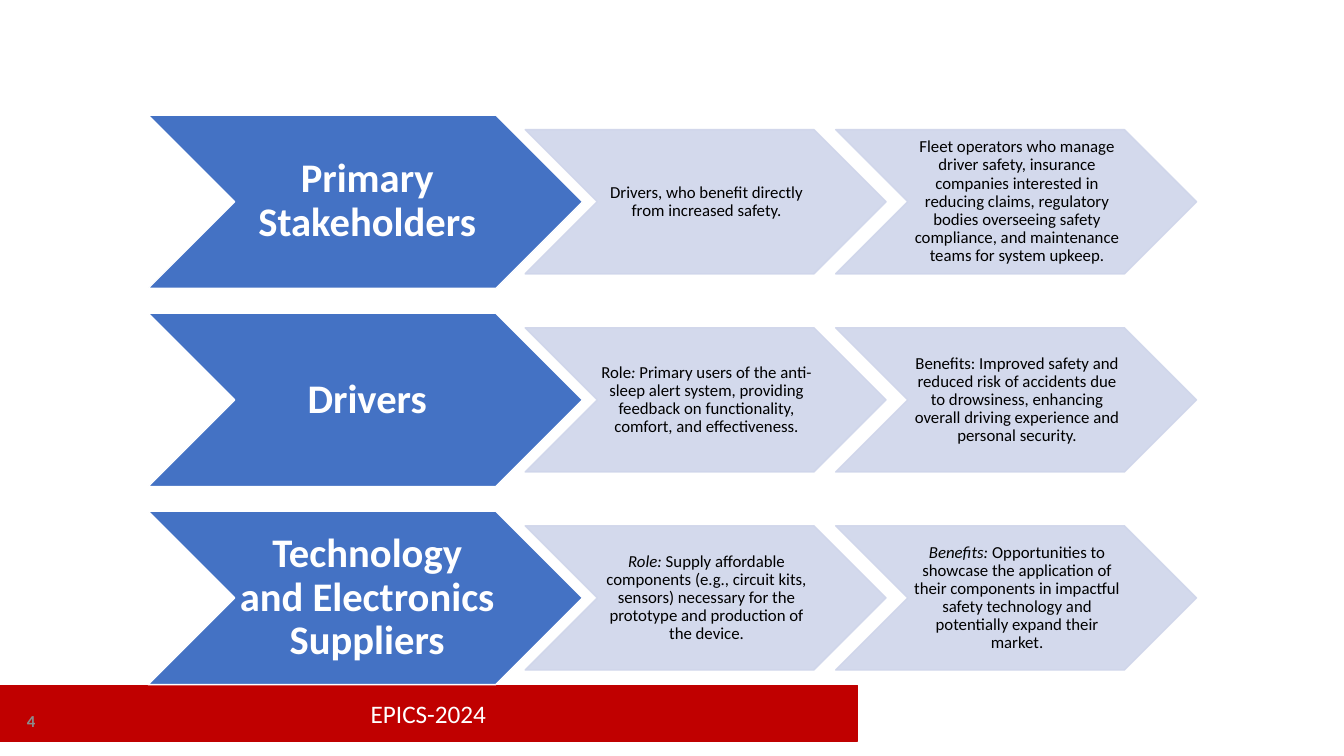
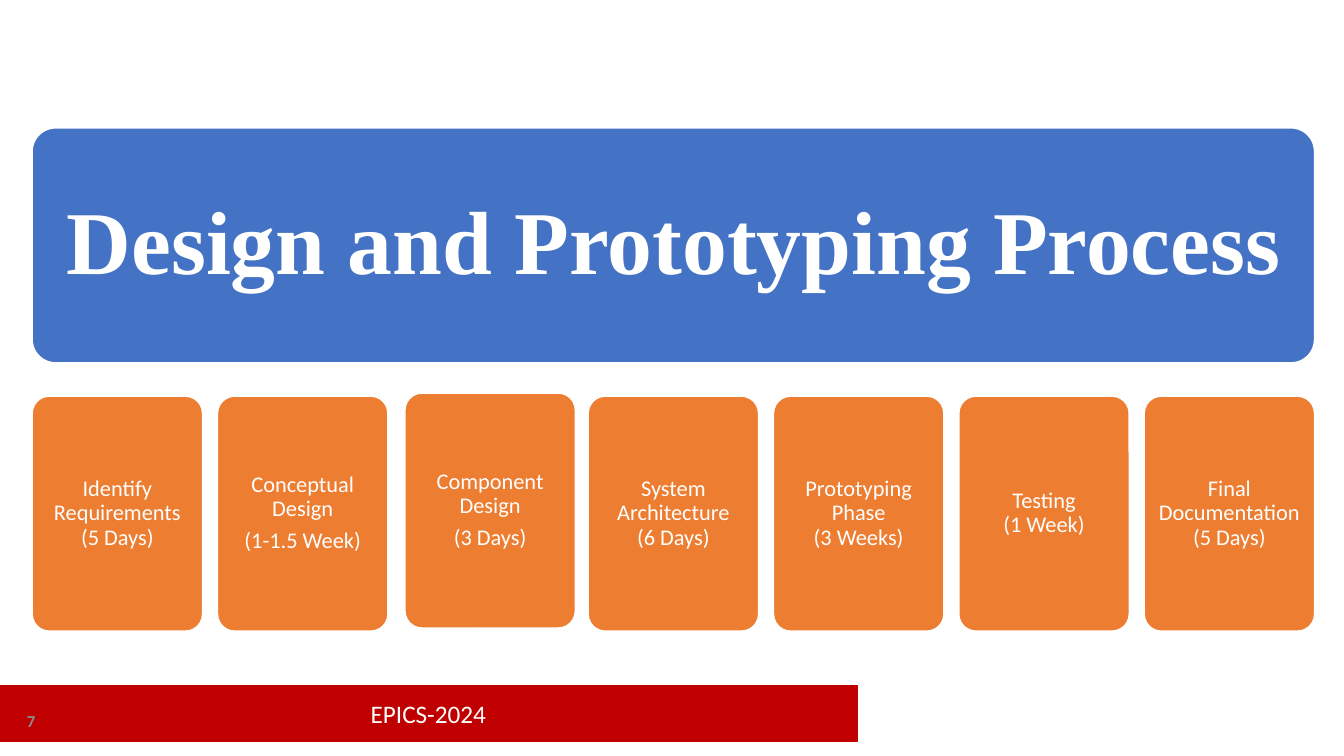
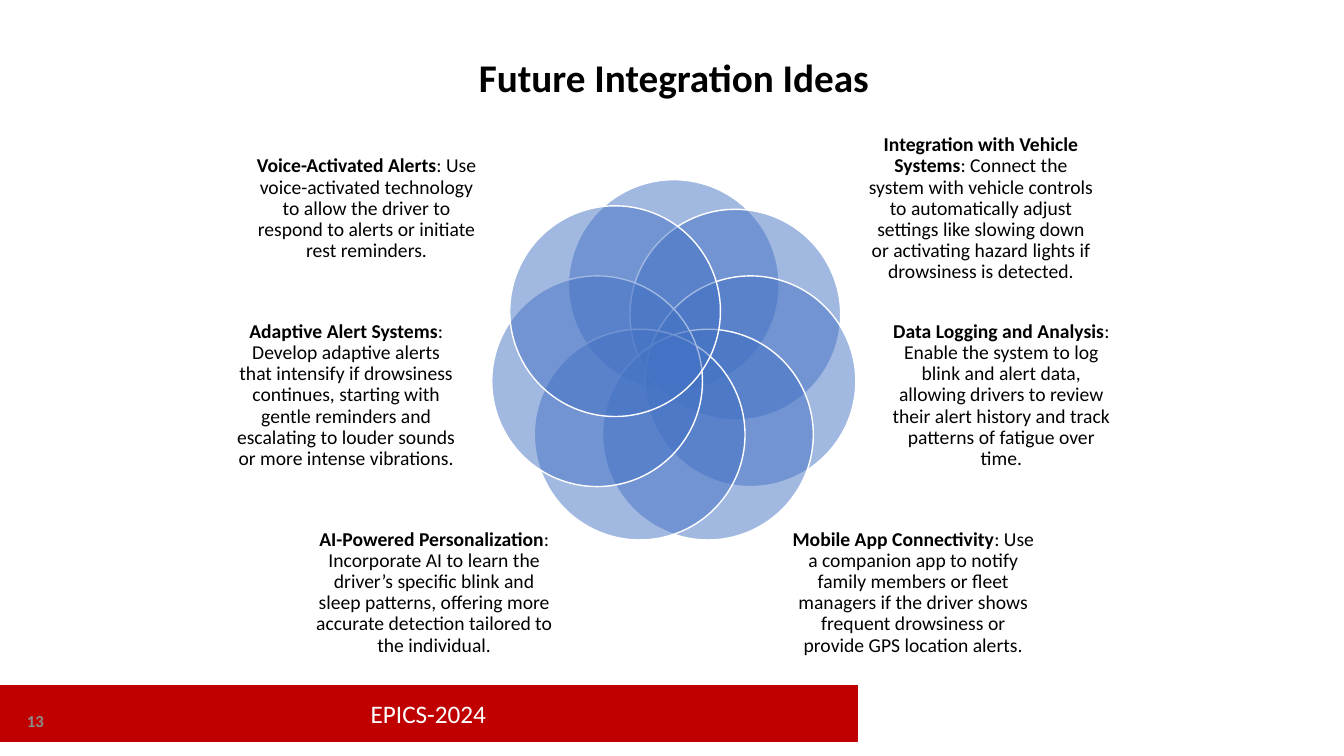
"""Build three slides on stakeholders, the design process and future integration ideas."""
from math import cos, pi, sin

from lxml.etree import SubElement
from pptx import Presentation
from pptx.dml.color import RGBColor
from pptx.enum.shapes import MSO_SHAPE
from pptx.enum.text import MSO_ANCHOR, PP_ALIGN
from pptx.oxml.ns import qn
from pptx.util import Pt

WHITE = RGBColor(0xFF, 0xFF, 0xFF)
BLACK = RGBColor(0x00, 0x00, 0x00)
RED = RGBColor(0xC0, 0x00, 0x00)
BLUE = RGBColor(0x44, 0x72, 0xC4)
PALE = RGBColor(0xCF, 0xD5, 0xEA)
ORANGE = RGBColor(0xED, 0x7D, 0x31)
GREY = RGBColor(0x8C, 0x8C, 0x8C)

FOOTER = "EPICS-2024"

STAKEHOLDERS = [
    ("Primary Stakeholders",
     "Drivers, who benefit directly from increased safety.",
     "Fleet operators who manage driver safety, insurance companies interested in reducing "
     "claims, regulatory bodies overseeing safety compliance, and maintenance teams for "
     "system upkeep."),
    ("Drivers",
     "Role*:* Primary users of the anti-sleep alert system, providing feedback on "
     "functionality, comfort, and effectiveness.",
     "Benefits: Improved safety and reduced risk of accidents due to drowsiness, enhancing "
     "overall driving experience and personal security."),
    ("Technology and Electronics Suppliers",
     "*Role:* Supply affordable components (e.g., circuit kits, sensors) necessary for the "
     "prototype and production of the device.",
     "*Benefits:* Opportunities to showcase the application of their components in impactful "
     "safety technology and potentially expand their market."),
]

PROCESS = "Design and Prototyping Process"
PHASES = [
    ["Identify Requirements (5 Days)"],
    ["Conceptual Design", "(1-1.5 Week)"],
    ["Component Design", "(3 Days)"],
    ["System Architecture\n(6 Days)"],
    ["Prototyping Phase\n(3 Weeks)"],
    ["Testing\n(1 Week)"],
    ["Final Documentation\n(5 Days)"],
]
PHASE_NUDGE = {2: (1.5, -2.2)}

IDEAS_TITLE = "Future Integration Ideas"
IDEA_ROWS = [
    ((619, 98.5, 163.5, 101.5),
     "*Voice-Activated Alerts*: Use voice-activated technology to allow the driver to respond "
     "to alerts or initiate rest reminders.",
     "*Integration with Vehicle Systems*: Connect the system with vehicle controls to "
     "automatically adjust settings like slowing down or activating hazard lights if "
     "drowsiness is detected."),
    ((635, 228.2, 160.6, 108.7),
     "*Adaptive Alert Systems*: Develop adaptive alerts that intensify if drowsiness "
     "continues, starting with gentle reminders and escalating to louder sounds or more "
     "intense vibrations.",
     "*Data Logging and Analysis*: Enable the system to log blink and alert data, allowing "
     "drivers to review their alert history and track patterns of fatigue over time."),
    ((566, 373.7, 172.8, 99.4),
     "*AI-Powered Personalization*: Incorporate AI to learn the driver’s specific blink and "
     "sleep patterns, offering more accurate detection tailored to the individual.",
     "*Mobile App Connectivity*: Use a companion app to notify family members or fleet "
     "managers if the driver shows frequent drowsiness or provide GPS location alerts."),
]
CIRCLES = 7
CIRCLE_NUDGE = {6: (2, -2.5)}


def write(sp, paras, size, color, bold=False, accent="italic", name="Calibri",
          margins=(0, 0, 0, 0), align=PP_ALIGN.CENTER, spacing=0.9):
    """Fill a shape with paragraphs; parts between asterisks take the accent."""
    tf = sp.text_frame
    tf.word_wrap = True
    tf.vertical_anchor = MSO_ANCHOR.MIDDLE
    tf.margin_left, tf.margin_top, tf.margin_right, tf.margin_bottom = map(Pt, margins)
    for n, text in enumerate(paras):
        p = tf.add_paragraph() if n else tf.paragraphs[0]
        p.alignment, p.line_spacing = align, spacing
        p.space_after = Pt(0.35 * size if n < len(paras) - 1 else 0)
        p.font.name, p.font.size, p.font.bold = name, Pt(size), bold
        p.font.color.rgb = color
        for i, part in enumerate(text.split("*")):
            for j, line in enumerate(part.split("\n")):
                if j:
                    p.add_line_break()
                if line:
                    r = p.add_run()
                    r.text = line
                    if i % 2 and accent == "bold":
                        r.font.bold = True
                    elif i % 2:
                        r.font.italic = True


def add_box(s, kind, box, fill, line=WHITE, adj=None):
    """Add a filled, outlined preset shape."""
    sp = s.shapes.add_shape(kind, *map(Pt, box))
    sp.shadow.inherit = False
    sp.fill.solid()
    sp.fill.fore_color.rgb = fill
    sp.line.color.rgb = line
    sp.line.width = Pt(1)
    if adj is not None:
        sp.adjustments[0] = adj
    return sp


def set_alpha(color_parent, percent):
    """Make the colours below an element partly transparent."""
    for clr in color_parent.iter(qn("a:srgbClr")):
        SubElement(clr, qn("a:alpha")).set("val", str(percent * 1000))


def add_label(s, box, text, size, **style):
    """Add a wrapped text box."""
    write(s.shapes.add_textbox(*map(Pt, box)), [text], size, **style)


def new_slide(prs, number):
    """Add a slide with the red footer band and its number."""
    s = prs.slides.add_slide(prs.slide_layouts[6])
    band = add_box(s, MSO_SHAPE.RECTANGLE, (-0.7, 489.6, 613.4, 39.6), RED, RED)
    write(band, [FOOTER], 18, WHITE, spacing=1)
    add_label(s, (12.2, 500.4, 216, 28.8), str(number), 12, color=GREY, bold=True,
              margins=(7.2, 3.6, 7.2, 3.6), align=PP_ALIGN.LEFT, spacing=1)
    return s


def stakeholders_slide(prs):
    """Draw rows of one large chevron and two pale ones."""
    s = new_slide(prs, 4)
    head_h, detail_h = 123.8, 103
    for row, (head, *details) in enumerate(STAKEHOLDERS):
        top = 82.2 + 141.5 * row
        sp = add_box(s, MSO_SHAPE.CHEVRON, (105.8, top, 310.3, head_h), BLUE)
        write(sp, [head], 29, WHITE, bold=True, margins=(2.9, 1.4, 0, 1.4))
        for col, text in enumerate(details):
            box = (375.1 + 221.8 * col, top + (head_h - detail_h) / 2, 257.8, detail_h)
            sp = add_box(s, MSO_SHAPE.CHEVRON, box, PALE, PALE)
            set_alpha(sp.element.spPr, 90)
            write(sp, [text], 12, BLACK, margins=(1.4, 0.7, 0, 0.7))


def process_slide(prs):
    """Draw the banner and the row of phases below it."""
    s = new_slide(prs, 7)
    left, width, height, phase_w = 23, 916, 167.8, 121.7
    banner = add_box(s, MSO_SHAPE.ROUNDED_RECTANGLE, (left, 91.4, width, height), BLUE, adj=0.1)
    write(banner, [PROCESS], 64, WHITE, bold=True, name="Times New Roman",
          margins=(15, 15, 15, 15))
    pitch = (width - phase_w) / (len(PHASES) - 1)
    for i, paras in enumerate(PHASES):
        dx, dy = PHASE_NUDGE.get(i, (0, 0))
        box = (left + pitch * i + dx, 283 + dy, phase_w, height)
        sp = add_box(s, MSO_SHAPE.ROUNDED_RECTANGLE, box, ORANGE, adj=0.1)
        write(sp, paras, 16, WHITE, margins=(5, 5, 5, 5))


def ideas_slide(prs):
    """Draw a ring of overlapping circles with mirrored labels."""
    s = new_slide(prs, 13)
    cx, cy, ring, size = 481.3, 259.8, 56.2, 150.5
    for i in range(CIRCLES):
        angle = 2 * pi * i / CIRCLES
        dx, dy = CIRCLE_NUDGE.get(i, (0, 0))
        x = cx + ring * sin(angle) - size / 2 + dx
        y = cy - ring * cos(angle) - size / 2 + dy
        sp = add_box(s, MSO_SHAPE.OVAL, (x, y, size, size), BLUE)
        set_alpha(sp.element.spPr.find(qn("a:solidFill")), 50)
    add_label(s, (236.9, 10.8, 488.9, 92.2), IDEAS_TITLE, 28, color=BLACK, bold=True)
    for (x, y, w, h), left_text, right_text in IDEA_ROWS:
        for label_x, text in ((2 * cx - x - w, left_text), (x, right_text)):
            add_label(s, (label_x, y, w, h), text, 14, color=BLACK, accent="bold")


def main():
    """Build and save the slides."""
    prs = Presentation()
    prs.slide_width, prs.slide_height = Pt(960), Pt(540)
    stakeholders_slide(prs)
    process_slide(prs)
    ideas_slide(prs)
    prs.save("out.pptx")


if __name__ == "__main__":
    main()
